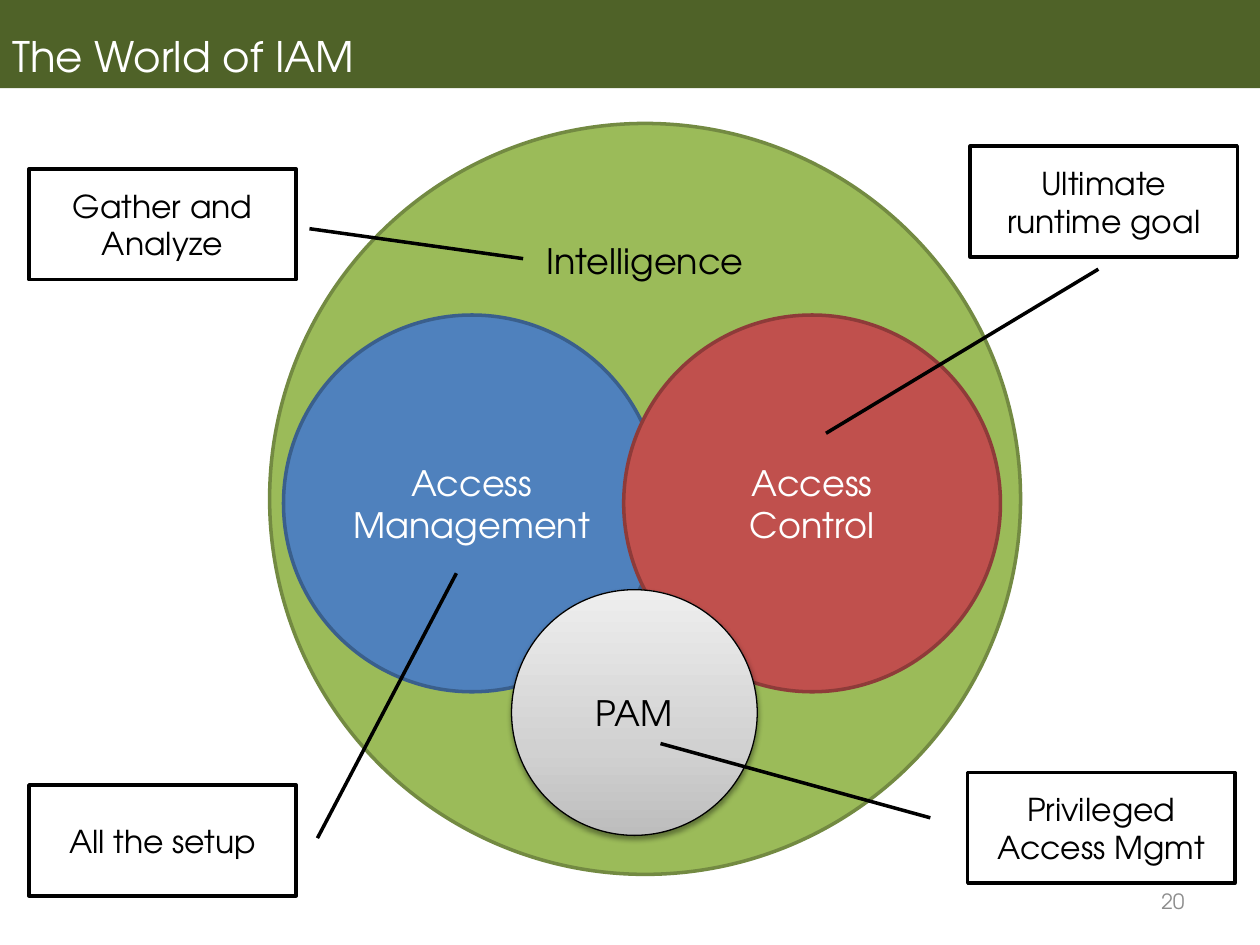
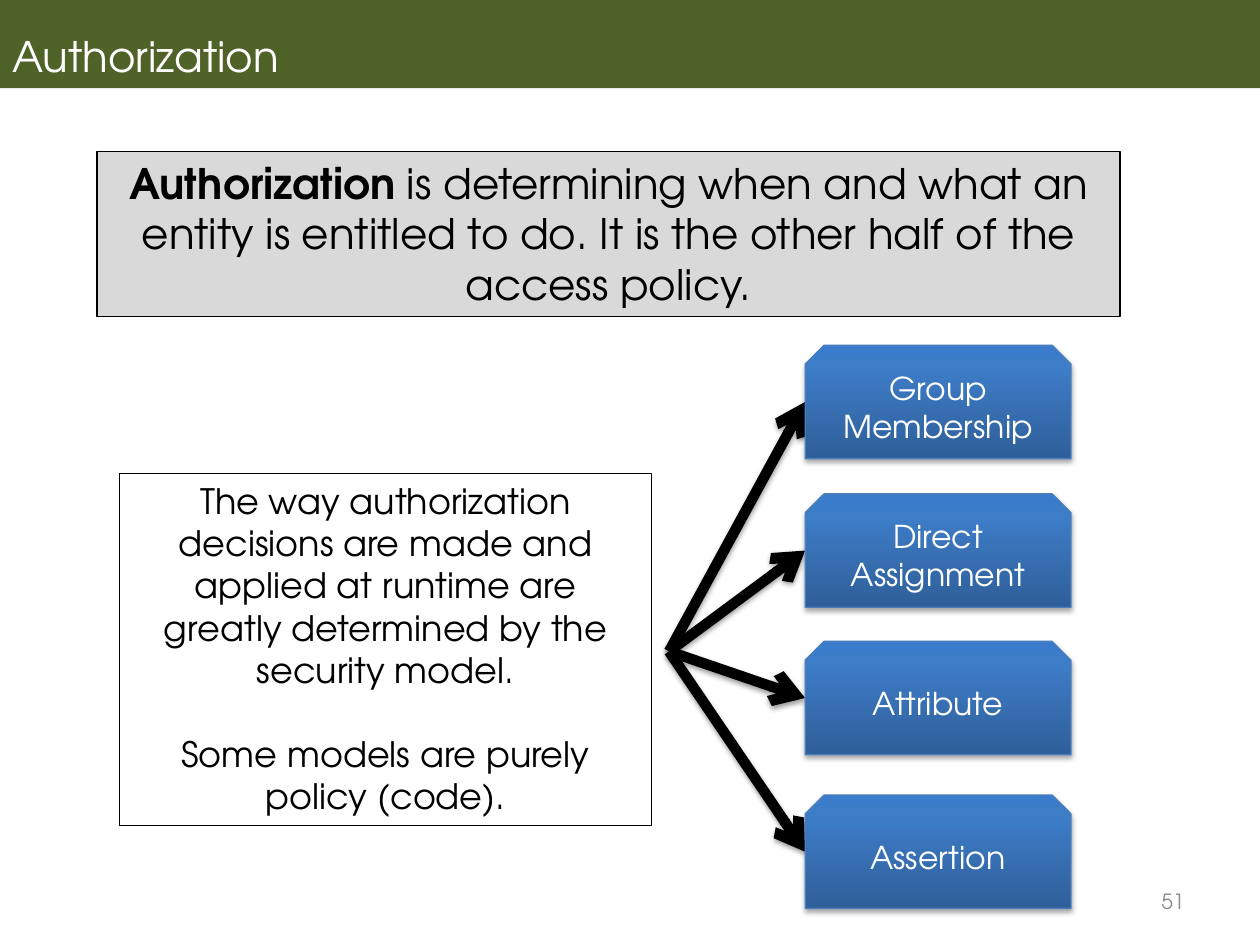
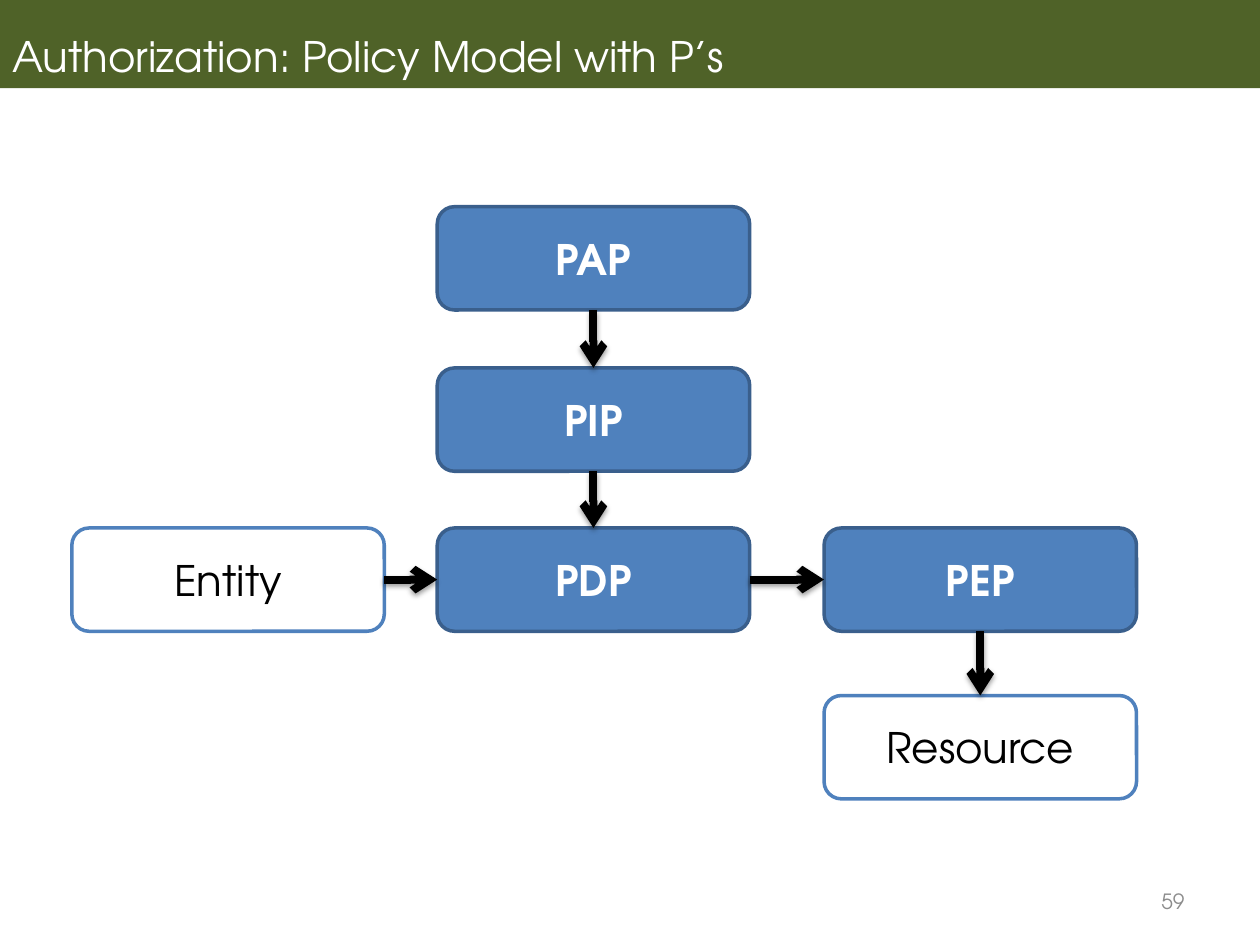
from lxml.etree import SubElement
from pptx import Presentation
from pptx.dml.color import RGBColor
from pptx.enum.shapes import MSO_CONNECTOR, MSO_SHAPE as SHAPE
from pptx.enum.text import MSO_ANCHOR as ANCHOR, PP_ALIGN as ALIGN
from pptx.oxml.ns import qn
from pptx.util import Inches, Pt

FONT = "TeX Gyre Adventor"
BLACK = RGBColor(0x00, 0x00, 0x00)
WHITE = RGBColor(0xFF, 0xFF, 0xFF)
BAND_GREEN = RGBColor(0x4F, 0x62, 0x28)
NUMBER_GRAY = RGBColor(0x8C, 0x8C, 0x8C)
PANEL_GRAY = RGBColor(0xD9, 0xD9, 0xD9)
GREEN = RGBColor(0x9B, 0xBB, 0x59)
GREEN_EDGE = RGBColor(0x73, 0x8A, 0x42)
BLUE = RGBColor(0x4F, 0x81, 0xBD)
BLUE_EDGE = RGBColor(0x3A, 0x5F, 0x8C)
RED = RGBColor(0xC0, 0x50, 0x4D)
RED_EDGE = RGBColor(0x8E, 0x3B, 0x39)
MODEL_EDGE = RGBColor(0x4B, 0x7E, 0xBC)
# Gradients run from bottom to top: (percent, colour)
SILVER = [(0, RGBColor(0xBD, 0xBD, 0xBD)), (35, RGBColor(0xD1, 0xD1, 0xD1)),
          (100, RGBColor(0xEE, 0xEE, 0xEE))]
DEEP_BLUE = [(0, RGBColor(0x2F, 0x5F, 0x99)), (80, RGBColor(0x3D, 0x7C, 0xC7)),
             (100, RGBColor(0x3A, 0x7C, 0xCB))]


def add_box(slide, kind, left, top, width, height, text, size, color, fill,
            edge=None, edge_width=2, bold=False, anchor=ANCHOR.MIDDLE, align=ALIGN.CENTER):
    """Add a preset shape with text; a list as fill makes a gradient."""
    shape = slide.shapes.add_shape(kind, Inches(left), Inches(top), Inches(width), Inches(height))
    shape.shadow.inherit = False
    if isinstance(fill, list):
        shape.fill.gradient()
        shape.fill.gradient_angle = 90
        stops = shape._element.spPr.find(".//" + qn("a:gsLst"))
        stops.clear()
        for percent, stop_color in fill:
            stop = SubElement(stops, qn("a:gs"), pos=str(percent * 1000))
            SubElement(stop, qn("a:srgbClr"), val=str(stop_color))
    elif fill is None:
        shape.fill.background()
    else:
        shape.fill.solid()
        shape.fill.fore_color.rgb = fill
    if edge is None:
        shape.line.fill.background()
    else:
        shape.line.color.rgb = edge
        shape.line.width = Pt(edge_width)
    shape.text_frame.text = text
    shape.text_frame.vertical_anchor = anchor
    for paragraph in shape.text_frame.paragraphs:
        paragraph.alignment = align
        paragraph.font.name = FONT
        paragraph.font.size = Pt(size)
        paragraph.font.bold = bold
        paragraph.font.color.rgb = color
    return shape


def add_shadow(item, opacity, distance):
    """Give a shape or connector a soft shadow that falls straight down."""
    properties = item._element.spPr
    effects = properties.find(qn("a:effectLst"))
    if effects is None:
        effects = SubElement(properties, qn("a:effectLst"))
    shadow = SubElement(effects, qn("a:outerShdw"), blurRad=str(Pt(3.1)), dist=str(Pt(distance)),
                        dir="5400000", rotWithShape="0")
    shadow_color = SubElement(shadow, qn("a:srgbClr"), val=str(BLACK))
    SubElement(shadow_color, qn("a:alpha"), val=str(opacity * 1000))


presentation = Presentation()
presentation.slide_width = Inches(10)
presentation.slide_height = Inches(7.5)

# Title band and slide number on every slide
slides = []
for title, number in [("The World of IAM", 20), ("Authorization", 51),
                      ("Authorization: Policy Model with P’s", 59)]:
    slide = presentation.slides.add_slide(presentation.slide_layouts[6])
    band = add_box(slide, SHAPE.RECTANGLE, 0, -0.01, 10, 0.71, title, 24, WHITE, BAND_GREEN,
                   anchor=ANCHOR.BOTTOM, align=ALIGN.LEFT)
    band.text_frame.paragraphs[0].line_spacing = 0.9
    add_box(slide, SHAPE.RECTANGLE, 7.17, 6.95, 2.33, 0.4, str(number), 12, NUMBER_GRAY, None,
            align=ALIGN.RIGHT)
    slides.append(slide)
world_slide, authorization_slide, policy_slide = slides

# World of IAM: overlapping circles
for left, top, diameter, text, color, fill, edge, anchor in [
    (2.14, 0.98, 5.96, "Intelligence", BLACK, GREEN, GREEN_EDGE, ANCHOR.TOP),
    (2.25, 2.5, 2.99, "Access Management", WHITE, BLUE, BLUE_EDGE, ANCHOR.MIDDLE),
    (4.95, 2.5, 2.99, "Access Control", WHITE, RED, RED_EDGE, ANCHOR.MIDDLE),
]:
    add_box(world_slide, SHAPE.OVAL, left, top, diameter, diameter, text, 20, color, fill, edge,
            anchor=anchor)
pam = add_box(world_slide, SHAPE.OVAL, 4.06, 4.68, 1.95, 1.95, "PAM", 20, BLACK, SILVER, BLACK, 0.75)
add_shadow(pam, 38, 1.6)

# World of IAM: callouts, each leader as y, x of its start and end in box units
for left, top, text, leader in [
    (7.7, 1.16, "Ultimate runtime goal", (1.11, 0.48, 2.59, -0.54)),
    (0.23, 1.34, "Gather and Analyze", (0.54, 1.05, 0.81, 1.85)),
    (0.23, 6.23, "All the setup", (0.48, 1.08, -1.91, 1.6)),
    (7.68, 6.13, "Privileged Access Mgmt", (0.41, -0.14, -0.26, -1.15)),
]:
    callout = add_box(world_slide, SHAPE.LINE_CALLOUT_1, left, top, 2.12, 0.88, text, 18,
                      BLACK, WHITE, BLACK)
    for index, value in enumerate(leader):
        callout.adjustments[index] = value

# Authorization: definition and explanation
definition = add_box(authorization_slide, SHAPE.RECTANGLE, 0.77, 1.2, 8.12, 1.31, "Authorization",
                     24, BLACK, PANEL_GRAY, BLACK, 0.75, anchor=ANCHOR.TOP)
paragraph = definition.text_frame.paragraphs[0]
paragraph.runs[0].font.bold = True
paragraph.add_run().text = (" is determining when and what an entity is entitled to do. "
                            "It is the other half of the access policy.")
explanation = add_box(
    authorization_slide, SHAPE.RECTANGLE, 0.95, 3.76, 4.22, 2.79,
    "The way authorization decisions are made and applied at runtime are greatly determined "
    "by the security model.\nSome models are purely policy (code).",
    20, BLACK, WHITE, BLACK, 0.75, anchor=ANCHOR.TOP)
explanation.text_frame.paragraphs[1].space_before = Pt(24)

# Authorization: security models with arrows fanning out to them
arrows = []
for top, text in [(2.74, "Group Membership"), (3.92, "Direct Assignment"),
                  (5.09, "Attribute"), (6.31, "Assertion")]:
    arrow = authorization_slide.shapes.add_connector(
        MSO_CONNECTOR.STRAIGHT, Inches(5.31), Inches(5.17), Inches(6.39), Inches(top + 0.45))
    arrows.append((arrow, 6))
    model = add_box(authorization_slide, SHAPE.SNIP_2_SAME_RECTANGLE, 6.39, top, 2.11, 0.9, text,
                    18, WHITE, DEEP_BLUE, MODEL_EDGE, 0.75)
    add_shadow(model, 35, 1.8)

# Policy model: boxes
boxes = {}
for name, left, top in [("PAP", 3.47, 1.64), ("PIP", 3.47, 2.92), ("PDP", 3.47, 4.19),
                        ("PEP", 6.54, 4.19), ("Entity", 0.57, 4.19), ("Resource", 6.54, 5.52)]:
    is_point = name.startswith("P")
    color, fill, edge = (WHITE, BLUE, BLUE_EDGE) if is_point else (BLACK, WHITE, BLUE)
    boxes[name] = add_box(policy_slide, SHAPE.ROUNDED_RECTANGLE, left, top, 2.48, 0.82, name, 24,
                          color, fill, edge, bold=is_point)

# Policy model: arrows between connection sites
TOP, LEFT, BOTTOM, RIGHT = range(4)
for source, source_site, target, target_site in [
    ("PAP", BOTTOM, "PIP", TOP), ("PIP", BOTTOM, "PDP", TOP), ("Entity", RIGHT, "PDP", LEFT),
    ("PDP", RIGHT, "PEP", LEFT), ("PEP", BOTTOM, "Resource", TOP),
]:
    arrow = policy_slide.shapes.add_connector(MSO_CONNECTOR.STRAIGHT, 0, 0, 0, 0)
    arrow.begin_connect(boxes[source], source_site)
    arrow.end_connect(boxes[target], target_site)
    arrows.append((arrow, 4.5))

# Arrow style
for arrow, width in arrows:
    arrow.line.color.rgb = BLACK
    arrow.line.width = Pt(width)
    SubElement(arrow.line._get_or_add_ln(), qn("a:tailEnd"), type="arrow")
    add_shadow(arrow, 38, 1.6)

presentation.save("out.pptx")
